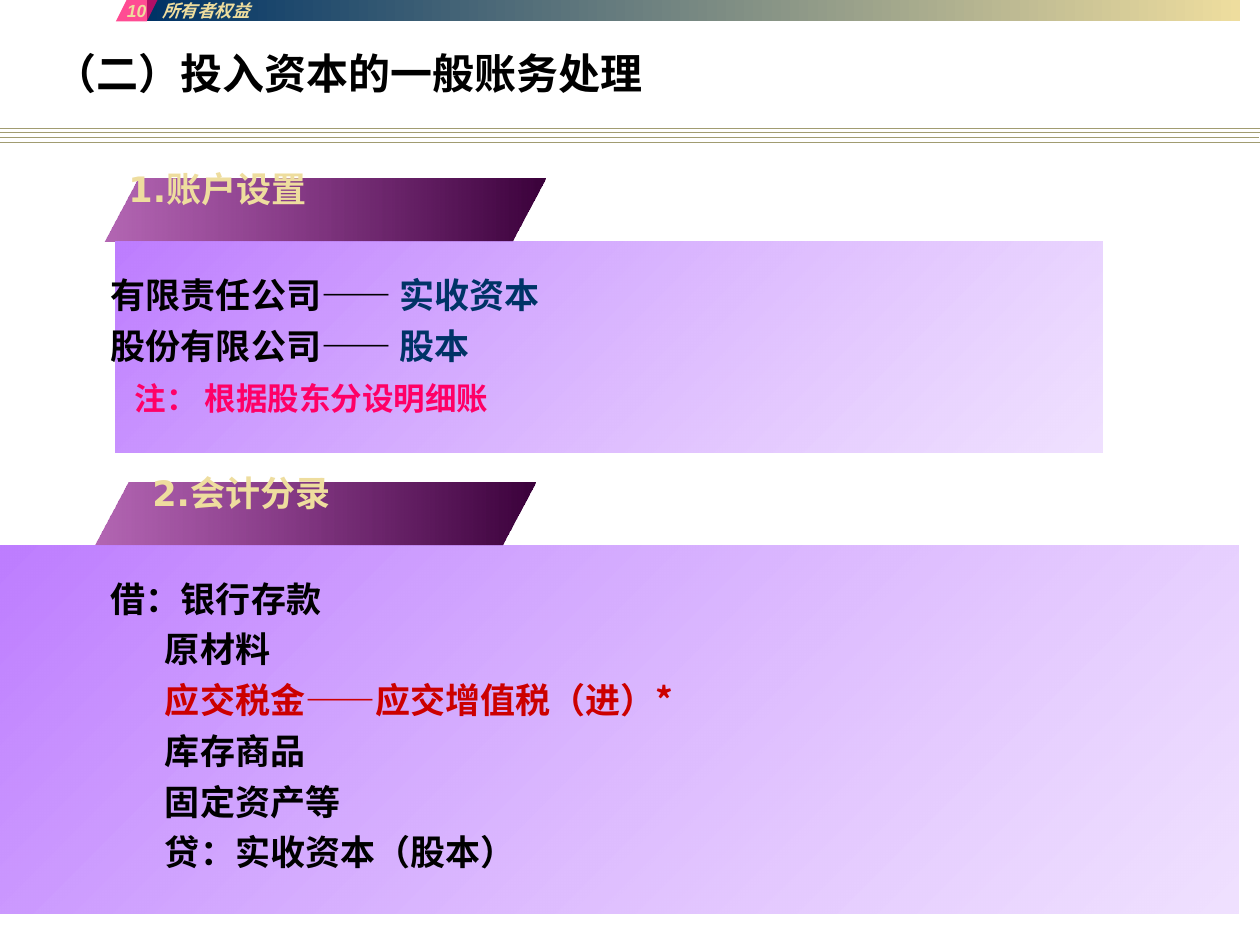
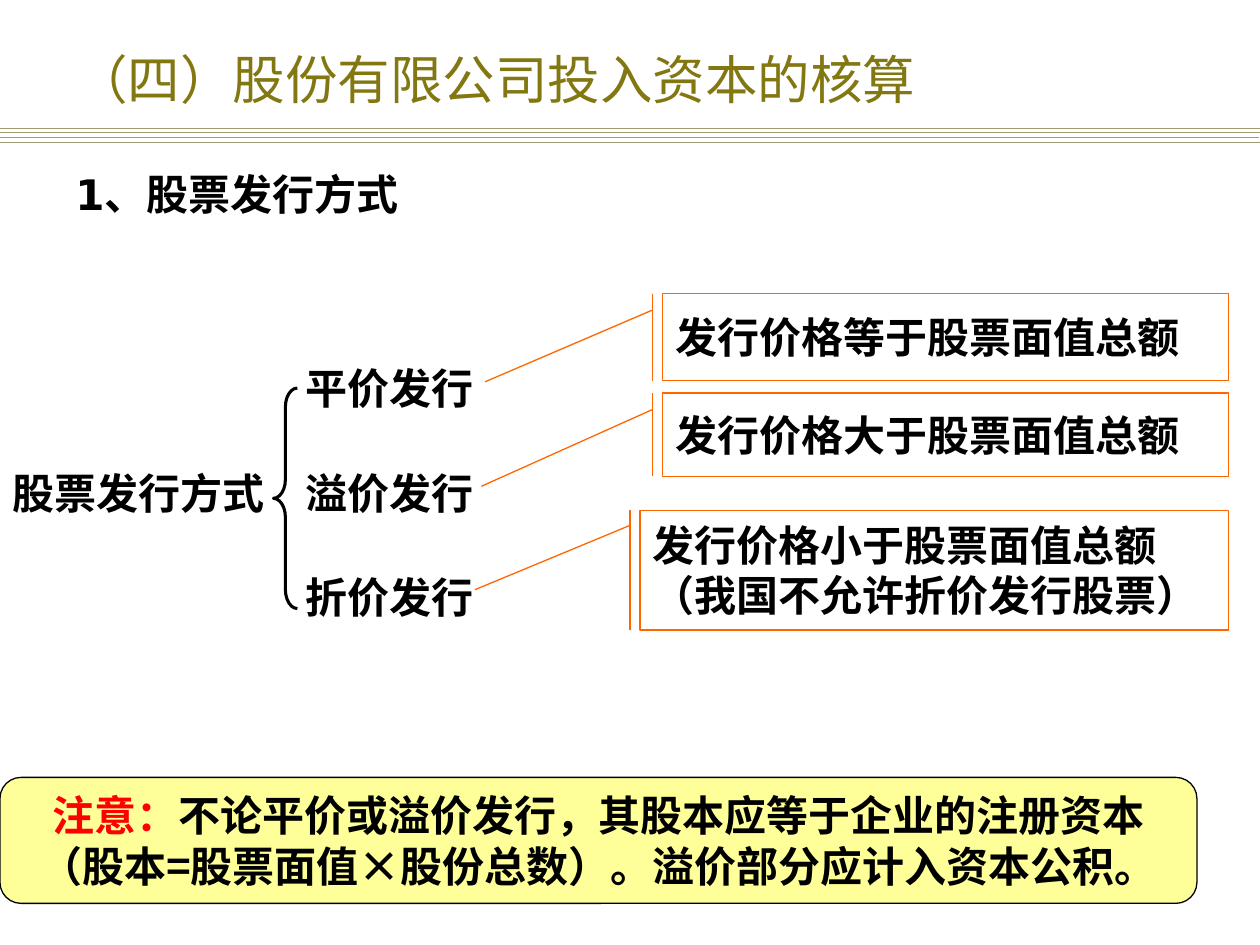
from lxml import etree
from pptx import Presentation
from pptx.dml.color import RGBColor
from pptx.enum.shapes import MSO_CONNECTOR, MSO_SHAPE
from pptx.enum.text import MSO_ANCHOR, PP_ALIGN
from pptx.oxml.ns import qn
from pptx.util import Inches, Pt

# The slide is a grid of 10 columns by 7.5 rows.
SLIDE_W, SLIDE_H = Inches(10), Inches(7.5)
COL, ROW = SLIDE_W / 10, SLIDE_H / 7.5

RECT, ROUND_RECT = MSO_SHAPE.RECTANGLE, MSO_SHAPE.ROUNDED_RECTANGLE
SLANT, BRACE = MSO_SHAPE.PARALLELOGRAM, MSO_SHAPE.LEFT_BRACE
CALLOUT = MSO_SHAPE.LINE_CALLOUT_1_BORDER_AND_ACCENT_BAR
STRAIGHT = MSO_CONNECTOR.STRAIGHT
TOP, MIDDLE = MSO_ANCHOR.TOP, MSO_ANCHOR.MIDDLE
LEFT, CENTER, JUSTIFY = PP_ALIGN.LEFT, PP_ALIGN.CENTER, PP_ALIGN.JUSTIFY

BLACK, NAVY, GOLD, PINK = "000000", "003366", "EEDD9E", "FF0066"
RULE, OLIVE, ORANGE = "A19C71", "827710", "FF6600"
RED, DARK_RED, YELLOW = "FF0000", "CC0000", "FFFF99"
PLUM = (("3B003B", 100), ("800080", 60))
LILAC = (("E6CDFF", 60), ("BE7DFF", 100))
HEADER = ((GOLD, 100), (NAVY, 100))

SANS, CJK, CJK_JP = "DejaVu Sans", "Noto Sans CJK SC", "Noto Sans CJK JP"
ARIAL, TIMES = "Arial", "Times New Roman"


def rgb(color):
    return RGBColor.from_string(color)


def grid(x, y, w, h):
    return [round(v) for v in (x * COL, y * ROW, w * COL, h * ROW)]


def set_alpha(parent, percents):
    for clr, percent in zip(parent.iter(qn("a:srgbClr")), percents):
        if percent < 100:
            etree.SubElement(clr, qn("a:alpha"), val=str(percent * 1000))


def add_shape(slide, kind, box, fill=None, line=None, width=0.75, adj=(), alpha=100):
    s = slide.shapes.add_shape(kind, *grid(*box))
    s.shadow.inherit = False
    for i, value in enumerate(adj):
        s.adjustments[i] = value
    if fill:
        s.fill.solid()
        s.fill.fore_color.rgb = rgb(fill)
        set_alpha(s.fill._xPr, [alpha])
    else:
        s.fill.background()
    if line:
        s.line.color.rgb = rgb(line)
        s.line.width = Pt(width)
    else:
        s.line.fill.background()
    return s


def add_gradient(slide, kind, box, stops, angle=180, adj=()):
    s = add_shape(slide, kind, box, adj=adj)
    s.fill.gradient()
    s.fill.gradient_angle = angle
    for stop, (color, _) in zip(s.fill.gradient_stops, stops):
        stop.color.rgb = rgb(color)
    set_alpha(s.fill._xPr, [percent for _, percent in stops])


def write(shape, *paragraphs, size=24, font=CJK, color=BLACK, bold=True, italic=False,
          align=LEFT, anchor=MIDDLE, inset=0.1, pitch=None, before=0, indents=()):
    """Fill a shape; a paragraph is a string or a list of (text, run format)."""
    tf = shape.text_frame
    tf.word_wrap = True
    tf.vertical_anchor = anchor
    tf.margin_left = tf.margin_right = Inches(inset)
    tf.margin_top = tf.margin_bottom = Inches(inset / 2)
    for i, runs in enumerate(paragraphs):
        p = tf.add_paragraph() if i else tf.paragraphs[0]
        p.alignment = align
        p.space_before = Pt(before if i else 0)
        if pitch:
            p.line_spacing = Pt(pitch)
        if indents:
            p._p.get_or_add_pPr().set("marL", str(Inches(indents[i])))
        for text, own in [(runs, {})] if isinstance(runs, str) else runs:
            r = p.add_run()
            r.text = text
            r.font.size = Pt(own.get("size", size))
            r.font.name = own.get("font", font)
            r.font.bold, r.font.italic = bold, italic
            r.font.color.rgb = rgb(own.get("color", color))
            etree.SubElement(r._r.get_or_add_rPr(), qn("a:ea"), typeface=CJK)


def add_text(slide, box, *paragraphs, **fmt):
    write(slide.shapes.add_textbox(*grid(*box)), *paragraphs, **fmt)


def title_rules(slide):
    for x, y in ((0, 1.02), (0, 1.05), (-0.01, 1.09), (0, 1.13)):
        left, top, width, _ = grid(x, y, 10, 0)
        c = slide.shapes.add_connector(STRAIGHT, left, top, left + width, top)
        c.line.color.rgb = rgb(RULE)
        c.line.width = Pt(0.75)
        etree.SubElement(c._element.spPr, qn("a:effectLst"))


def new_slide(prs):
    slide = prs.slides.add_slide(prs.slide_layouts[6])
    title_rules(slide)
    return slide


def chapter_header(slide, number, chapter):
    style = dict(size=10, font=ARIAL, color=GOLD, italic=True, inset=0)
    add_gradient(slide, SLANT, (1.17, 0, 8.67, 0.17), HEADER, adj=[-0.426])
    tag = (0.92, 0, 0.33, 0.17)
    add_shape(slide, SLANT, tag, PINK, adj=[0.5], alpha=70)
    add_text(slide, tag, number, align=CENTER, **style)
    add_text(slide, (1.29, 0, 1.23, 0.17), chapter, **style)


def section(slide, box, tab_x, heading, heading_x, lines, indents):
    """A lilac panel with a slanted heading tab standing on its top edge."""
    x, y, w, h = box
    add_gradient(slide, SLANT, (tab_x, y - 0.5, 3.5, 0.5), PLUM, adj=[0.54])
    add_gradient(slide, RECT, box, LILAC, angle=135)
    add_text(slide, (heading_x, y - 0.6, 3, 0.36), heading,
             size=20, font=SANS, color=GOLD, inset=0)
    add_text(slide, (0.88, y + 0.25, 7.5, h - 0.25), *lines, size=20, font=CJK_JP,
             anchor=TOP, inset=0, pitch=24, before=5, indents=indents)


def entries_slide(prs):
    slide = new_slide(prs)
    add_text(slide, (0.43, 0.33, 9, 0.5), "（二）投入资本的一般账务处理", font=SANS, inset=0)
    answer = dict(font=CJK, color=NAVY)
    section(slide, (0.92, 1.92, 7.83, 1.67), 0.83, "1.账户设置", 1.02, [
        [("有限责任公司—— ", {}), ("实收资本", answer)],
        [("股份有限公司—— ", {}), ("股本", answer)],
        [("注： 根据股东分设明细账", dict(size=18, font=CJK, color=PINK))],
    ], (0, 0, 0.19))
    section(slide, (0, 4.33, 9.83, 2.92), 0.75, "2.会计分录", 1.21, [
        "借：银行存款",
        "原材料",
        [("应交税金——应交增值税（进）*", dict(color=DARK_RED))],
        "库存商品",
        "固定资产等",
        "贷：实收资本（股本）",
    ], (0,) + (0.43,) * 5)
    chapter_header(slide, "10", "所有者权益")


def callout(slide, box, tip, start_drop, *lines):
    """A framed text whose leader runs from its accent bar to the tip."""
    x, y, w, h = box
    adj = (start_drop / h, -0.08 / w, (tip[1] - y) / h, (tip[0] - x) / w)
    s = add_shape(slide, CALLOUT, box, line=ORANGE, adj=adj)
    write(s, *lines, font=TIMES, align=JUSTIFY, pitch=28.6)


def issue_tree(slide, x, y):
    """The root term, a brace and three issue methods, one every 0.83 rows."""
    label = dict(font=ARIAL, align=JUSTIFY)
    add_text(slide, (x, y + 0.83, 2.56, 0.66), "股票发行方式", **label)
    add_shape(slide, BRACE, (x + 2.17, y + 0.33, 0.19, 1.75), line=BLACK,
              width=1.75, adj=(0.79, 0.5))
    for i, method in enumerate(("平价发行", "溢价发行", "折价发行")):
        add_text(slide, (x + 2.33, y + i * 0.83, 2.09, 0.66), method, **label)


def issue_slide(prs):
    slide = new_slide(prs)
    add_text(slide, (0.5, 0, 9, 1.25), "（四）股份有限公司投入资本的核算",
             size=30, color=OLIVE, bold=False)
    add_text(slide, (0.5, 1.25, 9, 0.57), "1、股票发行方式", font=SANS)
    note = add_shape(slide, ROUND_RECT, (0, 6.17, 9.5, 1), YELLOW, BLACK, adj=[0.167])
    write(note,
          [("注意：", dict(color=RED)), ("不论平价或溢价发行，其股本应等于企业的注册资本", {})],
          "（股本=股票面值×股份总数）。溢价部分应计入资本公积。",
          align=CENTER, pitch=28.6)
    callout(slide, (5.26, 2.33, 4.49, 0.69), (3.85, 3.03), 0.13, "发行价格等于股票面值总额")
    callout(slide, (5.26, 3.12, 4.49, 0.66), (3.82, 3.86), 0.13, "发行价格大于股票面值总额")
    callout(slide, (5.08, 4.05, 4.67, 0.95), (3.77, 4.68), 0.12,
            "发行价格小于股票面值总额", "（我国不允许折价发行股票）")
    issue_tree(slide, 0, 2.75)


def main():
    prs = Presentation()
    prs.slide_width, prs.slide_height = SLIDE_W, SLIDE_H
    entries_slide(prs)
    issue_slide(prs)
    prs.save("out.pptx")


if __name__ == "__main__":
    main()
